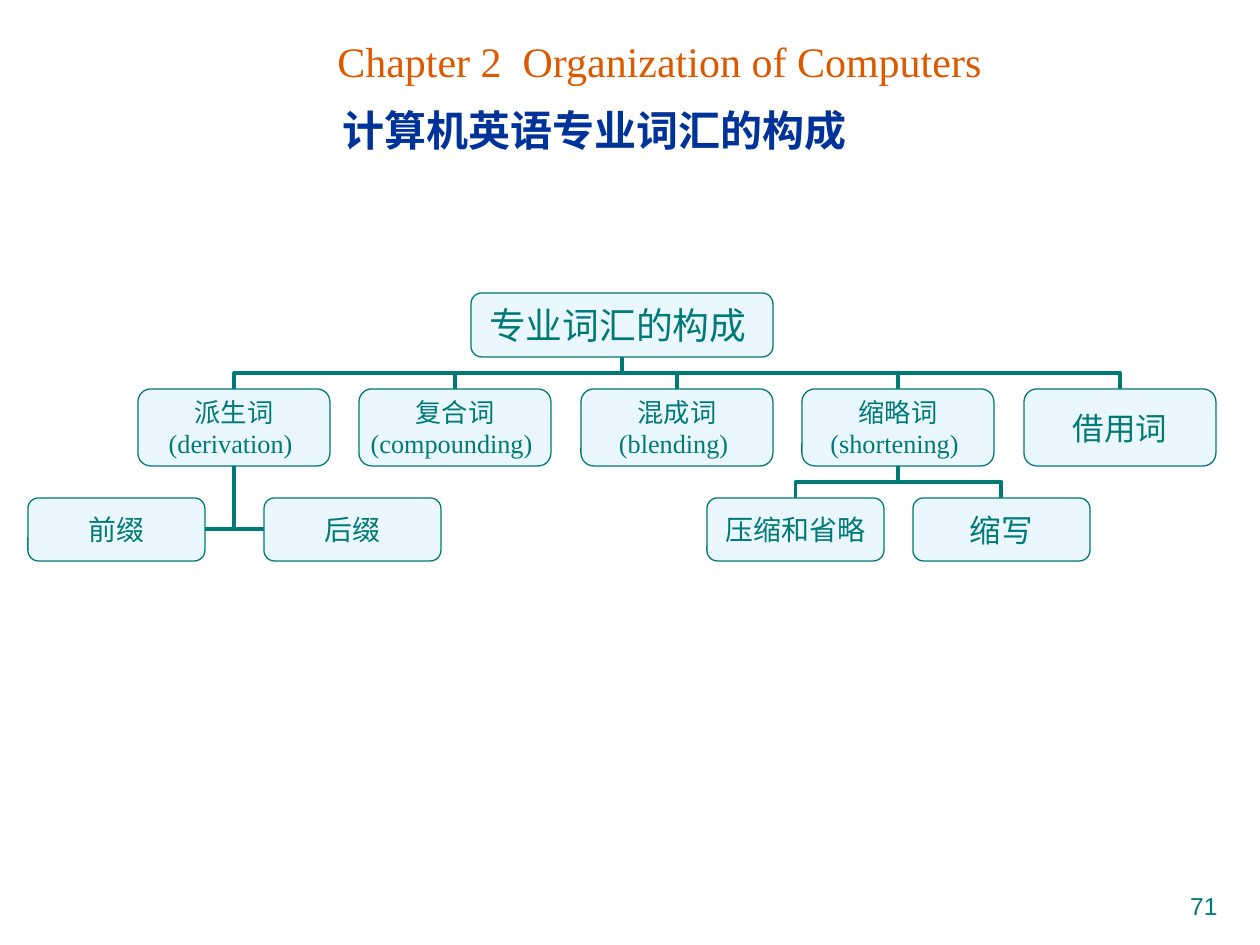
import pptx
import pptx.dml.color
import pptx.enum.shapes
import pptx.enum.text
import pptx.oxml
import pptx.oxml.ns
import pptx.util

RGBColor = pptx.dml.color.RGBColor
ALIGN = pptx.enum.text.PP_ALIGN
ANCHOR = pptx.enum.text.MSO_ANCHOR
TEAL = RGBColor(0x00, 0x7A, 0x77)
PALE_BLUE = RGBColor(0xEB, 0xF7, 0xFF)
ORANGE = RGBColor(0xDC, 0x59, 0x00)
NAVY = RGBColor(0x00, 0x33, 0x99)
PX_PER_INCH = 126
TOP, LEFT, BOTTOM, RIGHT = range(4)


def px(n):
    return round(n * 914400 / PX_PER_INCH)


class Chart:
    """Style and current slide of a word-family tree."""

    serif = "Times New Roman"
    sans = "Arial"

    def __init__(self, slide):
        self.slide = slide

    def set_text(self, sp, text, size, color, align=ALIGN.CENTER, font=serif, bold=False):
        tf = sp.text_frame
        tf.text = text
        tf.auto_size = pptx.enum.text.MSO_AUTO_SIZE.NONE
        for p in tf.paragraphs:
            p.alignment = align
            p.font.name = font
            p.font.size = pptx.util.Pt(size)
            p.font.bold = bold
            p.font.color.rgb = color
        return tf

    def title(self, text, x, y, w, h):
        sp = self.slide.shapes.title
        sp.left, sp.top, sp.width, sp.height = map(px, (x, y, w, h))
        tf = self.set_text(sp, text, 24, NAVY, bold=True)
        tf.vertical_anchor = ANCHOR.TOP
        tf.paragraphs[0].space_before = pptx.util.Pt(15)

    def label(self, text, x, y, w, h, size, color, **style):
        sp = self.slide.shapes.add_textbox(*map(px, (x, y, w, h)))
        self.set_text(sp, text, size, color, **style).word_wrap = True

    def box(self, text, x, y, w, h, size):
        kind = pptx.enum.shapes.MSO_SHAPE.ROUNDED_RECTANGLE
        sp = self.slide.shapes.add_shape(kind, *map(px, (x, y, w, h)))
        sp.shadow.inherit = False
        sp.fill.solid()
        sp.fill.fore_color.rgb = PALE_BLUE
        sp.line.color.rgb = TEAL
        sp.line.width = pptx.util.Pt(0.75)
        tf = self.set_text(sp, text, size, TEAL)
        tf.word_wrap = False
        tf.vertical_anchor = ANCHOR.MIDDLE
        tf.margin_left = tf.margin_right = px(6)
        tf.margin_top = tf.margin_bottom = px(3)
        return sp

    def branch(self, parent, child, side=TOP):
        """Join the parent's bottom to a side of the child with an elbow that starts downwards."""
        x1, y1 = parent.left + parent.width // 2, parent.top + parent.height
        if side == TOP:
            x2, y2 = child.left + child.width // 2, child.top
        else:
            x2 = child.left + (child.width if side == RIGHT else 0)
            y2 = child.top + child.height // 2
        kind = pptx.enum.shapes.MSO_CONNECTOR.ELBOW
        cxn = self.slide.shapes.add_connector(kind, x1, y1, x2, y2)
        cxn.begin_connect(parent, BOTTOM)
        cxn.end_connect(child, side)
        cxn.line.color.rgb = TEAL
        cxn.line.width = pptx.util.Pt(2.25)

        # The preset starts sideways, so it is turned a quarter about its centre.
        dx, dy = abs(x2 - x1), y2 - y1
        cxn.width, cxn.height = dy, dx
        cxn.left, cxn.top = (x1 + x2 - dy) // 2, (y1 + y2 - dx) // 2
        el = cxn._element
        xfrm = el.spPr.find(pptx.oxml.ns.qn("a:xfrm"))
        for flip in ("flipH", "flipV"):
            xfrm.attrib.pop(flip, None)
        if x2 < x1:
            xfrm.set("rot", "5400000")
        else:
            xfrm.set("rot", "16200000")
            xfrm.set("flipH", "1")
        if side != TOP:
            el.spPr.find(pptx.oxml.ns.qn("a:prstGeom")).set("prst", "bentConnector2")
        el.spPr.append(pptx.oxml.parse_xml(
            f'<a:effectLst {pptx.oxml.ns.nsdecls("a")}/>'))
        el.getparent().insert(2, el)  # behind the boxes


def main():
    prs = pptx.Presentation()
    prs.slide_width, prs.slide_height = px(1260), px(945)
    c = Chart(prs.slides.add_slide(prs.slide_layouts[5]))

    c.label("Chapter 2  Organization of Computers", 212, 29, 895, 68, 24, ORANGE)
    c.title("计算机英语专业词汇的构成 ", 59, 98, 1081, 63)

    root = c.box("专业词汇的构成 ", 471, 293, 302, 64, 21)
    kinds = [
        ("派生词\n(derivation) ", 15),
        ("复合词\n(compounding) ", 15),
        ("混成词\n(blending) ", 15),
        ("缩略词\n(shortening) ", 15),
        ("借用词", 18),
    ]
    boxes = [c.box(text, 138 + 443 * i // 2, 389, 192, 77, size)
             for i, (text, size) in enumerate(kinds)]
    for box in boxes:
        c.branch(root, box)

    derivation, shortening = boxes[0], boxes[3]
    leaves = [
        ("前缀", 28, 16, derivation, RIGHT),
        ("后缀", 264, 16, derivation, LEFT),
        ("压缩和省略", 707, 16, shortening, TOP),
        ("缩写", 913, 18, shortening, TOP),
    ]
    for text, x, size, parent, side in leaves:
        c.branch(parent, c.box(text, x, 498, 177, 63, size), side)

    c.label("71", 915, 885, 315, 39, 14, TEAL, align=ALIGN.RIGHT, font=c.sans)
    prs.save("out.pptx")


if __name__ == "__main__":
    main()
